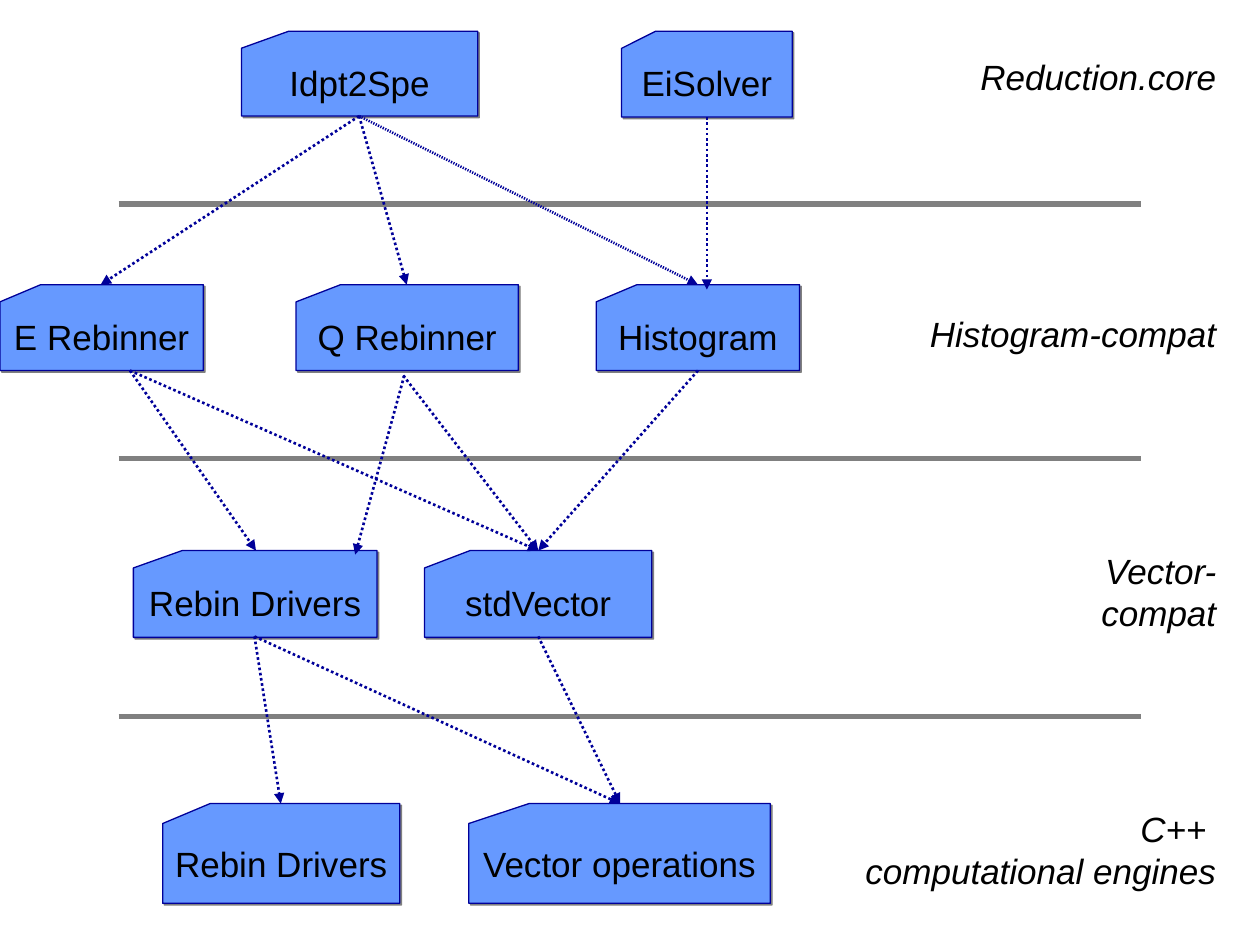
"""Build a one-slide diagram of software layers and their dependencies."""
from lxml import etree
from pptx import Presentation
from pptx.dml.color import RGBColor
from pptx.enum.dml import MSO_LINE
from pptx.enum.shapes import MSO_CONNECTOR, MSO_SHAPE
from pptx.enum.text import MSO_ANCHOR, PP_ALIGN
from pptx.oxml.ns import qn
from pptx.util import Cm, Pt

CARD = MSO_SHAPE.FLOWCHART_CARD
STRAIGHT = MSO_CONNECTOR.STRAIGHT
DOTS = MSO_LINE.ROUND_DOT
MIDDLE = MSO_ANCHOR.MIDDLE
CENTER, RIGHT = PP_ALIGN.CENTER, PP_ALIGN.RIGHT
COLORS = {"card": "6699FF", "edge": "000099", "gray": "808080", "text": "000000"}


def write(text, sp, align=CENTER, italic=False, size=20, font="Arial"):
    tf = sp.text_frame
    tf.word_wrap = False
    tf.vertical_anchor = MIDDLE
    for i, line in enumerate(text.split("\n")):
        p = tf.paragraphs[0] if i == 0 else tf.add_paragraph()
        p.alignment = align
        r = p.add_run()
        r.text = line
        r.font.size = Pt(size)
        r.font.name = font
        r.font.italic = italic
        r.font.color.rgb = RGBColor.from_string(COLORS["text"])


def add_line(x1, y1, x2, y2, color, width):
    c = s.shapes.add_connector(STRAIGHT, Cm(x1), Cm(y1), Cm(x2), Cm(y2))
    c.line.color.rgb = RGBColor.from_string(COLORS[color])
    c.line.width = Pt(width)
    etree.SubElement(c._element.spPr, qn("a:effectLst"))
    return c


prs = Presentation()
prs.slide_width, prs.slide_height = Cm(25.4), Cm(19.05)
s = prs.slides.add_slide(prs.slide_layouts[6])

for y in (4.11, 9.25, 14.45):
    add_line(2.39, y, 23.01, y, "gray", 3)

labels = [
    ("Reduction.core", 0.89, 5.92),
    ("Histogram-compat", 6.07, 6.99),
    ("Vector-compat", 11.28, 3.81),
    ("C++ \ncomputational engines", 16.48, 10.54),
]
label_right = 24.77
for text, y, w in labels:
    sp = s.shapes.add_textbox(Cm(label_right - w), Cm(y), Cm(w), Cm(1.3))
    write(text, sp, align=RIGHT, italic=True)

cards = [
    ("Idpt2Spe", 4.87, 0.63, 4.76, 1.71),
    ("EiSolver", 12.53, 0.63, 3.44, 1.73),
    ("E Rebinner", 0, 5.74, 4.1, 1.73),
    ("Q Rebinner", 5.97, 5.74, 4.48, 1.73),
    ("Histogram", 12.02, 5.74, 4.1, 1.73),
    ("Rebin Drivers", 2.69, 11.1, 4.91, 1.75),
    ("stdVector", 8.56, 11.1, 4.58, 1.75),
    ("Rebin Drivers", 3.28, 16.2, 4.78, 2.01),
    ("Vector operations", 9.45, 16.2, 6.08, 2.01),
]
for text, x, y, w, h in cards:
    sp = s.shapes.add_shape(CARD, Cm(x), Cm(y), Cm(w), Cm(h))
    sp.shadow.inherit = False
    effects = sp._element.spPr.find(qn("a:effectLst"))
    shadow = etree.SubElement(effects, qn("a:outerShdw"), dist=str(Pt(1.4)),
                              dir="2700000", algn="ctr", rotWithShape="0")
    etree.SubElement(shadow, qn("a:srgbClr"), val=COLORS["gray"])
    sp.fill.solid()
    sp.fill.fore_color.rgb = RGBColor.from_string(COLORS["card"])
    sp.line.color.rgb = RGBColor.from_string(COLORS["edge"])
    sp.line.width = Pt(0.75)
    write(text, sp)

arrows = [
    (7.24, 2.34, 2.03, 5.74),
    (7.24, 2.34, 8.2, 5.74),
    (14.25, 2.36, 14.25, 5.84),
    (2.62, 7.47, 5.16, 11.1),
    (8.15, 7.57, 7.16, 11.18),
    (8.13, 7.57, 10.85, 11.1),
    (14.07, 7.47, 10.85, 11.1),
    (5.13, 12.83, 12.5, 16.2),
    (10.85, 12.83, 12.5, 16.2),
    (5.13, 12.83, 5.66, 16.2),
    (2.62, 7.47, 10.85, 11.1),
]
fine_arrow = (7.24, 2.34, 14.07, 5.74)
for ends in arrows + [fine_arrow]:
    c = add_line(*ends, "edge", 1.5)
    ln = c.line._get_or_add_ln()
    if ends == fine_arrow:
        dash = etree.SubElement(ln, qn("a:custDash"))
        etree.SubElement(dash, qn("a:ds"), d="50000", sp="50000")
    else:
        c.line.dash_style = DOTS
    etree.SubElement(ln, qn("a:tailEnd"), type="triangle")

prs.save("out.pptx")
